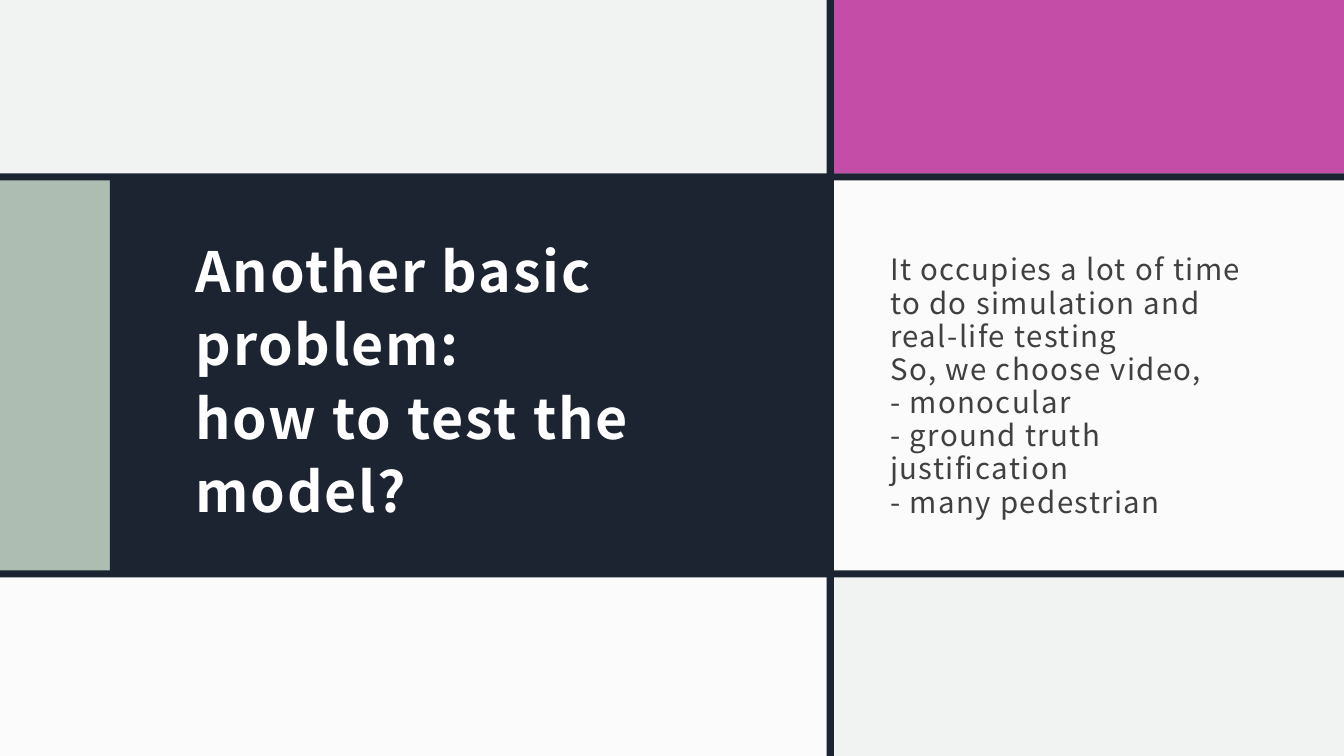
"""Build the slide on how to test the model."""
from dataclasses import dataclass

from lxml.etree import SubElement
from pptx import Presentation
from pptx.dml.color import RGBColor as RGB
from pptx.enum.shapes import MSO_SHAPE as Shape
from pptx.enum.text import MSO_ANCHOR as Anchor
from pptx.oxml.ns import qn
from pptx.util import Inches, Pt


@dataclass(frozen=True)
class Theme:
    back: str = "F0F3F1"
    sage: str = "ADBDB2"
    navy: str = "1B2430"
    pink: str = "C34DA7"
    white: str = "FFFFFF"
    grey: str = "404040"
    face: str = "Noto Sans CJK SC"
    head: float = 39.6
    body: float = 21


theme = Theme()
wide, high, bar = 13.33, 7.5, 0.07

deck = Presentation()
deck.slide_width, deck.slide_height = Inches(wide), Inches(high)
slide = deck.slides.add_slide(deck.slide_layouts[6])
slide.background.fill.solid()
slide.background.fill.fore_color.rgb = RGB.from_string(theme.back)


def add_panel(left, top, width, height, color, alpha=100):
    """Draw a plain filled rectangle."""
    panel = slide.shapes.add_shape(
        Shape.RECTANGLE, Inches(left), Inches(top), Inches(width), Inches(height))
    panel.shadow.inherit = False
    panel.line.fill.background()
    panel.fill.solid()
    panel.fill.fore_color.rgb = RGB.from_string(color)
    if alpha < 100:
        tint = panel.fill._xPr.find(qn("a:solidFill"))[0]
        SubElement(tint, qn("a:alpha"), val=str(alpha * 1000))


def add_text(left, top, width, height, lines, size, color, bold, lead, gap):
    """Write lines as one paragraph, centred in height."""
    box = slide.shapes.add_textbox(
        Inches(left), Inches(top), Inches(width), Inches(height))
    frame = box.text_frame
    frame.word_wrap = True
    frame.vertical_anchor = Anchor.MIDDLE
    frame.margin_left = frame.margin_right = frame.margin_top = Inches(0.12)
    frame.margin_bottom = Inches(0.1)
    para = frame.paragraphs[0]
    para.text = "\v".join(lines)
    para.line_spacing = lead
    font = para.font
    font.name, font.size, font.bold = theme.face, Pt(size), bold
    font.color.rgb = RGB.from_string(color)
    for run in para.runs:
        run._r.get_or_add_rPr().set("spc", str(gap))


add_panel(0, 1.77, 1.09, 3.91, theme.sage)
add_panel(1.09, 1.77, 7.16, 3.91, theme.navy)
add_panel(8.24, 0, 5.09, 1.78, theme.pink)
add_panel(8.27, 1.72, 5.06, 3.98, theme.white, 75)
add_panel(0, 5.73, 8.2, 1.77, theme.white, 75)

for top in (1.72, 5.66):
    add_panel(0, top, wide, bar, theme.navy)
add_panel(8.2, 0, bar, high, theme.navy)

title = ["Another basic problem:", "how to test the model?"]
notes = [
    "It occupies a lot of time to do simulation and real-life testing",
    "So, we choose video,",
    "- monocular",
    "- ground truth justification",
    "- many pedestrian",
]
add_text(1.82, 2.21, 5.91, 3.04, title, theme.head, theme.white, True, 1.1, 130)
add_text(8.71, 2.34, 3.92, 2.98, notes, theme.body, theme.grey, False, 0.94, 100)

deck.save("out.pptx")
